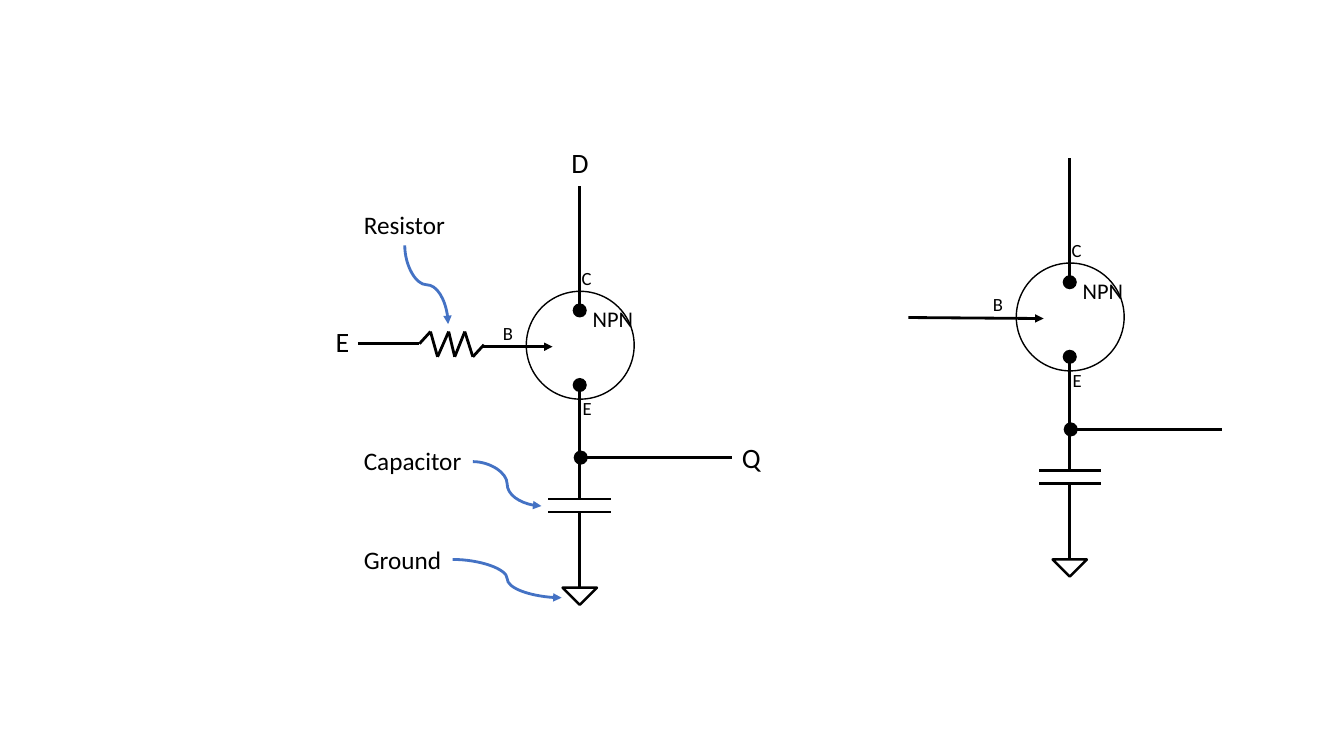
from dataclasses import dataclass
from itertools import pairwise

from lxml.etree import SubElement
from pptx import Presentation
from pptx.dml.color import RGBColor
from pptx.enum.shapes import MSO_CONNECTOR, MSO_SHAPE
from pptx.enum.text import MSO_AUTO_SIZE
from pptx.oxml.ns import qn
from pptx.shapes.autoshape import Shape
from pptx.shapes.connector import Connector
from pptx.shapes.shapetree import GroupShapes
from pptx.util import Inches, Pt

BLACK = "000000"
BLUE = "4472C4"
DOT_SIZE = 0.14


@dataclass(frozen=True)
class Point:
    x: float
    y: float


@dataclass(frozen=True)
class Wire:
    start: Point
    end: Point
    color: str = BLACK
    kind: MSO_CONNECTOR = MSO_CONNECTOR.STRAIGHT
    arrow: bool = False
    rotation: int = 0


@dataclass(frozen=True)
class Symbol:
    preset: MSO_SHAPE
    left: float
    top: float
    width: float
    height: float
    fill: str | None = None
    outline: float | None = None
    rotation: int = 0


@dataclass(frozen=True)
class Label:
    text: str
    left: float
    top: float
    width: float
    height: float
    size: float


def dot(left: float, top: float) -> Symbol:
    return Symbol(MSO_SHAPE.OVAL, left, top, DOT_SIZE, DOT_SIZE, fill=BLACK)


def pointer(start: Point, end: Point, rotation: int = 0) -> Wire:
    return Wire(start, end, BLUE, MSO_CONNECTOR.CURVE, True, rotation)


OUTPUT_WIRE = Wire(Point(5.75, 4.54), Point(7.26, 4.54))
CELL_WIRES = [
    Wire(Point(5.75, 1.85), Point(5.75, 3.09)),
    Wire(Point(5.75, 4.95), Point(5.75, 3.81)),
    Wire(Point(6.06, 4.95), Point(5.44, 4.95)),
    Wire(Point(6.06, 5.08), Point(5.44, 5.08)),
    Wire(Point(5.75, 5.83), Point(5.75, 5.08)),
]
CELL_SYMBOLS = [
    Symbol(MSO_SHAPE.OVAL, 5.22, 2.89, 1.07, 1.07, outline=1),
    dot(5.68, 3.01),
    dot(5.68, 3.75),
    dot(5.69, 4.47),
    Symbol(MSO_SHAPE.ISOSCELES_TRIANGLE, 5.58, 5.83, 0.34, 0.17, outline=1.75, rotation=180),
]
CELL_LABELS = [
    Label("NPN", 5.78, 2.98, 0.61, 0.37, 16),
    Label("E", 5.68, 3.89, 0.29, 0.33, 13.3),
    Label("C", 5.67, 2.6, 0.3, 0.33, 13.3),
    Label("B", 4.89, 3.14, 0.3, 0.33, 13.3),
]
OUTPUT_LABEL = Label("Q", 7.26, 4.32, 0.39, 0.44, 20)
ANNOTATIONS = [
    Label("E", 3.23, 3.17, 0.34, 0.44, 20),
    Label("D", 5.57, 1.39, 0.37, 0.44, 20),
    Label("Resistor", 3.51, 2.03, 1.01, 0.4, 18),
    Label("Capacitor", 3.51, 4.37, 1.18, 0.4, 18),
    Label("Ground", 3.51, 5.35, 0.98, 0.4, 18),
]
POINTERS = [
    pointer(Point(4.62, 2.61), Point(3.84, 3.04), rotation=270),
    pointer(Point(4.69, 4.58), Point(5.37, 5.02)),
    pointer(Point(4.49, 5.55), Point(5.57, 5.93)),
]
RESISTOR = [
    Point(3.55, 3.41), Point(4.16, 3.41), Point(4.27, 3.29),
    Point(4.34, 3.54), Point(4.45, 3.29), Point(4.51, 3.54),
    Point(4.61, 3.29), Point(4.69, 3.54), Point(4.8, 3.42),
]


def rgb(color: str) -> RGBColor:
    return RGBColor.from_string(color)


def draw_wire(group: GroupShapes, wire: Wire, shift: Point = Point(0, 0)) -> Connector:
    connector = group.add_connector(
        wire.kind,
        Inches(wire.start.x + shift.x), Inches(wire.start.y + shift.y),
        Inches(wire.end.x + shift.x), Inches(wire.end.y + shift.y),
    )
    connector.line.width = Pt(2)
    connector.line.color.rgb = rgb(wire.color)
    properties = connector._element.spPr
    if wire.arrow:
        SubElement(properties.find(qn("a:ln")), qn("a:tailEnd"), type="triangle")
    if wire.rotation:
        properties.find(qn("a:xfrm")).set("rot", str(wire.rotation * 60000))
    SubElement(properties, qn("a:effectLst"))
    return connector


def draw_symbol(group: GroupShapes, symbol: Symbol, shift: Point) -> None:
    shape = group.add_shape(
        symbol.preset,
        Inches(symbol.left + shift.x), Inches(symbol.top + shift.y),
        Inches(symbol.width), Inches(symbol.height),
    )
    shape.shadow.inherit = False
    shape.rotation = symbol.rotation
    if symbol.fill:
        shape.fill.solid()
        shape.fill.fore_color.rgb = rgb(symbol.fill)
    else:
        shape.fill.background()
    if symbol.outline:
        shape.line.width = Pt(symbol.outline)
        shape.line.color.rgb = rgb(BLACK)
    else:
        shape.line.fill.background()


def draw_label(group: GroupShapes, label: Label, shift: Point = Point(0, 0)) -> Shape:
    box = group.add_textbox(
        Inches(label.left + shift.x), Inches(label.top + shift.y),
        Inches(label.width), Inches(label.height),
    )
    frame = box.text_frame
    frame.word_wrap = False
    frame.auto_size = MSO_AUTO_SIZE.SHAPE_TO_FIT_TEXT
    paragraph = frame.paragraphs[0]
    paragraph.text = label.text
    paragraph.font.name = "Calibri"
    paragraph.font.size = Pt(label.size)
    paragraph.font.color.rgb = rgb(BLACK)
    return box


def draw_cell(group: GroupShapes, shift: Point, base_wire: Wire) -> Connector:
    draw_wire(group, base_wire)
    for wire in CELL_WIRES:
        draw_wire(group, wire, shift)
    output = draw_wire(group, OUTPUT_WIRE, shift)
    for symbol in CELL_SYMBOLS:
        draw_symbol(group, symbol, shift)
    for label in CELL_LABELS:
        draw_label(group, label, shift)
    return output


def main() -> None:
    presentation = Presentation()
    presentation.slide_width = Inches(13.33)
    presentation.slide_height = Inches(7.5)
    slide = presentation.slides.add_slide(presentation.slide_layouts[6])

    plain = slide.shapes.add_group_shape().shapes
    draw_cell(plain, Point(4.86, -0.28), Wire(Point(9.01, 3.15), Point(10.35, 3.16), arrow=True))

    annotated = slide.shapes.add_group_shape().shapes
    output = draw_cell(
        annotated, Point(0, 0), Wire(Point(4.78, 3.44), Point(5.48, 3.44), arrow=True)
    )
    output.end_connect(draw_label(annotated, OUTPUT_LABEL), 1)
    for start, end in pairwise(RESISTOR):
        draw_wire(annotated, Wire(start, end))
    for label in ANNOTATIONS:
        draw_label(annotated, label)
    for arrow in POINTERS:
        draw_wire(annotated, arrow)

    presentation.save("out.pptx")


if __name__ == "__main__":
    main()
